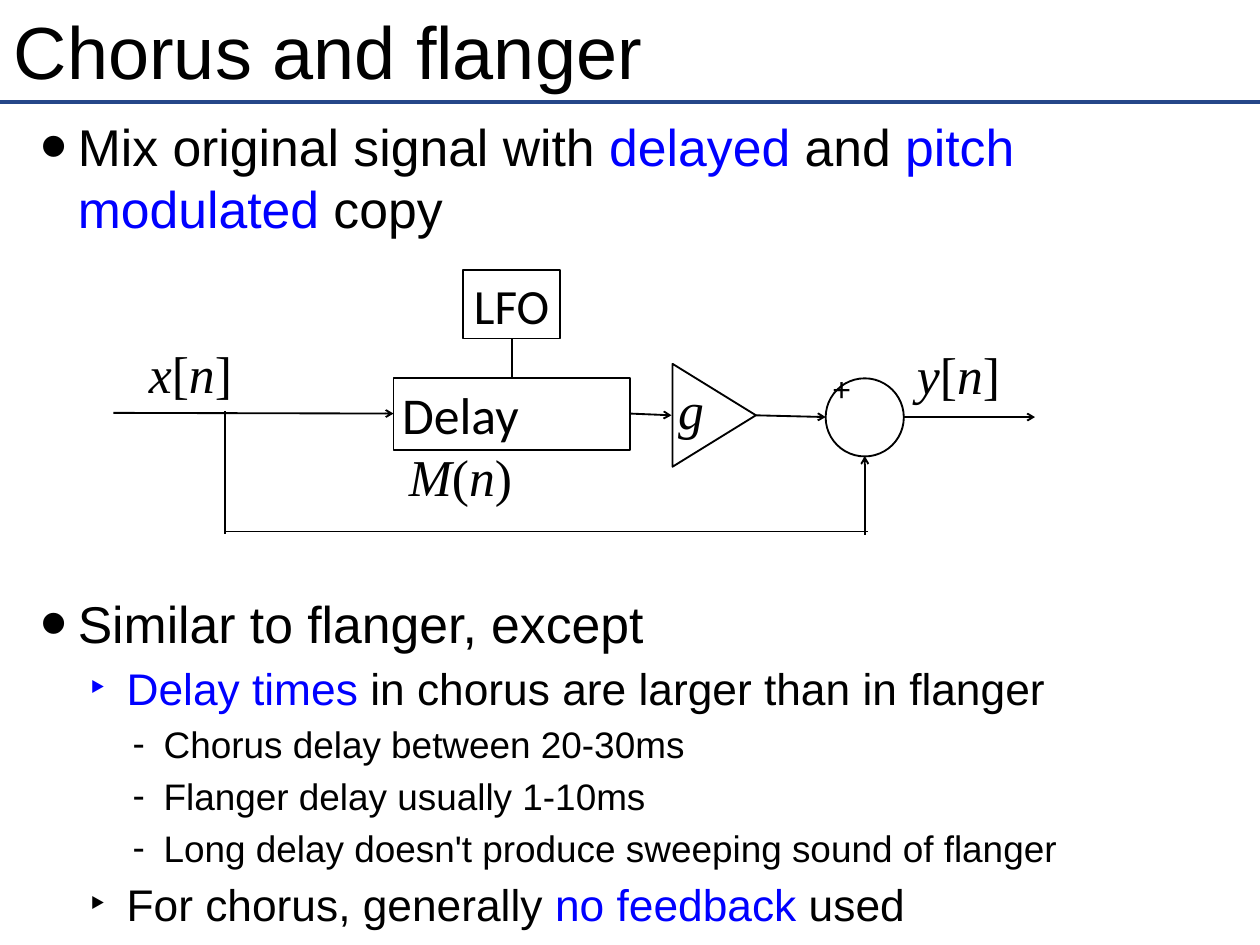
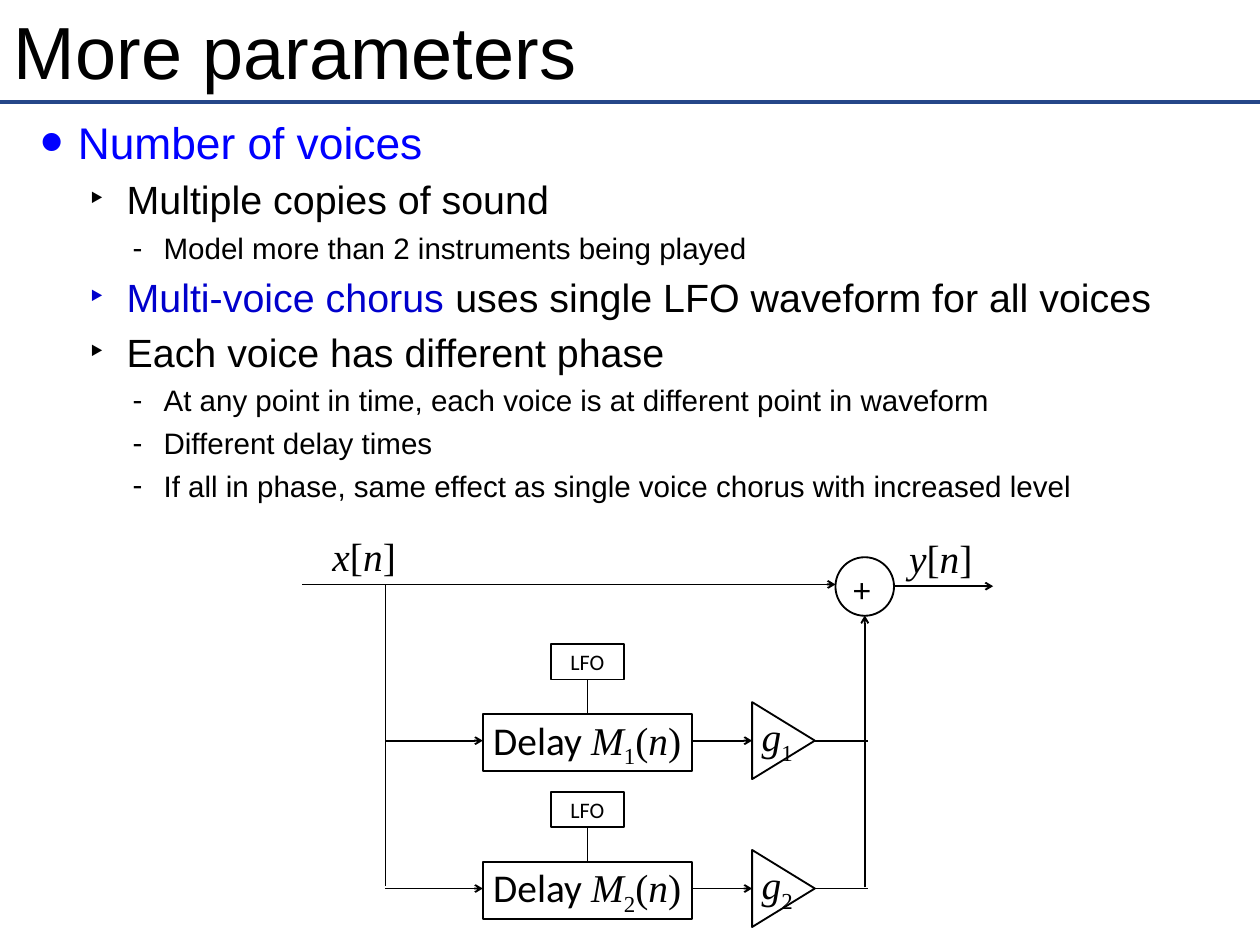
from itertools import groupby

from pptx import Presentation
from pptx.dml.color import RGBColor
from pptx.enum.shapes import MSO_CONNECTOR, MSO_SHAPE
from pptx.enum.text import MSO_ANCHOR, MSO_AUTO_SIZE, PP_ALIGN
from pptx.oxml.ns import qn
from pptx.util import Cm, Pt
from lxml import etree

STRAIGHT = MSO_CONNECTOR.STRAIGHT
RECT, OVAL = MSO_SHAPE.RECTANGLE, MSO_SHAPE.OVAL
TRIANGLE = MSO_SHAPE.ISOSCELES_TRIANGLE
LEFT, CENTER = PP_ALIGN.LEFT, PP_ALIGN.CENTER
TOP, MIDDLE = MSO_ANCHOR.TOP, MSO_ANCHOR.MIDDLE
NO_FIT = MSO_AUTO_SIZE.NONE

COLORS = {"ink": "000000", "rule": "254789", "blue": "0000FF", "navy": "0000CC"}
SANS, WORD, MATH = "Arial", "Calibri", "Times New Roman"
WIDTH, HEIGHT = 36.12, 27.1
# Bullet, its size in percent, left margin and hanging indent in cm
LEVELS = [("•", 150, 1.78, 1.07), ("‣", 100, 3.18, 1.07), ("-", 100, 4.24, 0.89)]

CHORUS = [
    (0, "Mix original signal with *delayed* and *pitch modulated* copy", "blue", 0),
    (0, "Similar to flanger, except", "ink", 287),
    (1, "*Delay times* in chorus are larger than in flanger", "blue", 6),
    (2, "Chorus delay between 20-30ms", "ink", 6),
    (2, "Flanger delay usually 1-10ms", "ink", 6),
    (2, "Long delay doesn't produce sweeping sound of flanger", "ink", 6),
    (1, "For chorus, generally *no feedback* used", "blue", 6),
]
VOICES = [
    (0, "*Number of voices*", "blue", 0),
    (1, "Multiple copies of sound", "ink", 6),
    (2, "Model more than 2 instruments being played", "ink", 6),
    (1, "*Multi-voice chorus *uses single LFO waveform for all voices", "navy", 6),
    (1, "Each voice has different phase", "ink", 6),
    (2, "At any point in time, each voice is at different point in waveform", "ink", 6),
    (2, "Different delay times", "ink", 6),
    (2, "If all in phase, same effect as single voice chorus with increased level",
     "ink", 6),
]


def color(name):
    return RGBColor.from_string(COLORS[name])


def box(x, y, w, h):
    return Cm(x), Cm(y), Cm(w), Cm(h)


def add_run(para, text, font, size, tint="ink"):
    run = para.add_run()
    run.text = text
    run.font.name = font
    run.font.size = Pt(size)
    run.font.color.rgb = color(tint)
    return run


def sort_char(char):
    return "var" if char.isalpha() else "sub" if char.isdigit() else "sign"


def add_math(para, text, size):
    """Set letters in italics and digits as subscripts."""
    for kind, chars in groupby(text, sort_char):
        run = add_run(para, "".join(chars), MATH, size)
        run.font.italic = kind == "var"
        if kind == "sub":
            run.font._element.set("baseline", "-25000")


def fill_text(shape, word, math, size):
    """Write an upright word and then a formula, centred."""
    frame = shape.text_frame
    frame.word_wrap = False
    frame.vertical_anchor = MIDDLE
    para = frame.paragraphs[0]
    para.alignment = CENTER
    if word:
        add_run(para, word, WORD, size)
    add_math(para, math, size)


def add_label(draw, x, y, word, math, size):
    """Place a text box centred on a point."""
    wide, high = 0.1 * size, 0.05 * size
    shape = draw.add_textbox(*box(x - wide / 2, y - high / 2, wide, high))
    fill_text(shape, word, math, size)


def add_block(draw, kind, x, y, w, h):
    shape = draw.add_shape(kind, *box(x, y, w, h))
    shape.shadow.inherit = False
    shape.fill.background()
    shape.line.color.rgb = color("ink")
    shape.line.width = Pt(1.5)
    return shape


def add_amp(draw, x, mid, deep, span):
    """Draw a triangle that points right, from its left edge and middle."""
    shape = add_block(draw, TRIANGLE, x + (deep - span) / 2, mid - deep / 2,
                      span, deep)
    shape.rotation = 90


def add_line(draw, x1, y1, x2, y2, arrow=False, tint="ink", width=1.5):
    line = draw.add_connector(STRAIGHT, Cm(x1), Cm(y1), Cm(x2), Cm(y2))
    line.line.color.rgb = color(tint)
    line.line.width = Pt(width)
    props = line.element.spPr
    if arrow:
        etree.SubElement(props.get_or_add_ln(), qn("a:tailEnd"), type="arrow")
    etree.SubElement(props, qn("a:effectLst"))
    return line


def set_frame(shape, anchor):
    frame = shape.text_frame
    frame.margin_left = frame.margin_right = Cm(0.15)
    frame.margin_top = frame.margin_bottom = Cm(0.15)
    frame.vertical_anchor = anchor
    frame.auto_size = NO_FIT


def place(shape, x, y, w, h):
    shape.left, shape.top, shape.width, shape.height = box(x, y, w, h)


def set_layout(layout):
    title, body = layout.placeholders[0], layout.placeholders[1]
    place(title, 0.25, 0.15, 35.59, 2.57)
    place(body, 0.3, 3.15, 35.59, 23.75)
    set_frame(title, MIDDLE)
    set_frame(body, TOP)


def add_bullet(para, level):
    mark, scale, left, hang = LEVELS[level]
    para.level = level
    props = para._p.get_or_add_pPr()
    props.set("marL", str(Cm(left)))
    props.set("indent", str(-Cm(hang)))
    etree.SubElement(props, qn("a:buSzPct"), val=str(scale * 1000))
    etree.SubElement(props, qn("a:buFont"), typeface=SANS)
    etree.SubElement(props, qn("a:buChar"), char=mark)


def fill_list(frame, rows, sizes):
    """Write the rows; text between asterisks takes the row's accent."""
    for i, (level, text, tint, gap) in enumerate(rows):
        para = frame.add_paragraph() if i else frame.paragraphs[0]
        para.alignment = LEFT
        para.line_spacing = 1.0
        para.space_before = Pt(gap)
        para.space_after = Pt(0)
        add_bullet(para, level)
        for j, part in enumerate(text.split("*")):
            if part:
                add_run(para, part, SANS, sizes[level], tint if j % 2 else "ink")


def add_slide(deck, layout, head, rows, sizes):
    """Add a titled list; return the slide and the shapes of an empty group."""
    slide = deck.slides.add_slide(layout)
    para = slide.shapes.title.text_frame.paragraphs[0]
    para.alignment = LEFT
    add_run(para, head, SANS, 60)
    fill_list(slide.placeholders[1].text_frame, rows, sizes)
    return slide, slide.shapes.add_group_shape().shapes


def draw_chorus(draw):
    add_block(draw, OVAL, 23.67, 10.85, 2.24, 2.24)
    add_label(draw, 24.13, 11.12, "+", "", 28)
    delay = add_block(draw, RECT, 11.28, 10.85, 6.78, 2.06)
    fill_text(delay, "Delay ", "M(n)", 42)
    frame = delay.text_frame
    frame.word_wrap = True
    frame.vertical_anchor = TOP
    frame.margin_left, frame.margin_right = 0, Cm(2.94)
    lfo = add_block(draw, RECT, 13.28, 7.75, 2.77, 1.96)
    fill_text(lfo, "LFO", "", 40)
    add_amp(draw, 19.28, 11.91, 2.39, 2.95)
    add_label(draw, 5.46, 10.68, "", "x[n]", 42)
    add_label(draw, 27.48, 10.73, "", "y[n]", 42)
    add_label(draw, 19.81, 11.72, "", "g", 42)
    for ends in [(3.25, 11.84, 11.28, 11.86), (18.06, 11.86, 19.25, 11.91),
                 (21.67, 11.91, 23.67, 11.96), (25.91, 11.96, 29.67, 11.96),
                 (24.79, 15.34, 24.79, 13.08)]:
        add_line(draw, *ends, arrow=True)
    for ends in [(6.45, 11.79, 6.45, 15.32), (6.45, 15.24, 24.87, 15.24),
                 (14.68, 9.73, 14.68, 10.85)]:
        add_line(draw, *ends)


def draw_voice(draw, num, mid):
    """Draw one delay branch around its middle line."""
    delay = add_block(draw, RECT, 13.84, mid - 0.76, 5.99, 1.63)
    fill_text(delay, "Delay ", f"M{num}(n)", 32)
    lfo = add_block(draw, RECT, 15.8, mid - 2.77, 2.08, 1.02)
    fill_text(lfo, "LFO", "", 18)
    add_amp(draw, 21.56, mid, 1.8, 2.21)
    add_label(draw, 22.28, mid - 0.05, "", f"g{num}", 32)
    add_line(draw, 11.05, mid, 13.84, mid, arrow=True)
    add_line(draw, 19.84, mid, 21.56, mid, arrow=True)
    add_line(draw, 23.37, mid, 24.87, mid)
    add_line(draw, 16.84, mid - 1.75, 16.84, mid - 0.76)


def draw_voices(draw):
    add_block(draw, OVAL, 23.95, 15.98, 1.68, 1.68)
    add_label(draw, 24.71, 16.88, "+", "", 28)
    add_label(draw, 10.44, 15.95, "", "x[n]", 32)
    add_label(draw, 26.97, 16, "", "y[n]", 32)
    add_line(draw, 11.05, 16.76, 11.05, 25.4)
    for ends in [(8.66, 16.76, 23.95, 16.76), (25.65, 16.81, 28.47, 16.81),
                 (24.79, 25.45, 24.79, 17.65)]:
        add_line(draw, *ends, arrow=True)
    for num in (1, 2):
        draw_voice(draw, num, 17 + 4.24 * num)


def main():
    deck = Presentation()
    deck.slide_width, deck.slide_height = Cm(WIDTH), Cm(HEIGHT)
    layout = deck.slide_layouts[1]
    set_layout(layout)

    slide, draw = add_slide(deck, layout, "Chorus and flanger", CHORUS, (42, 36, 30))
    draw_chorus(draw)
    # The rule under the title belongs to the layout
    rule = add_line(slide.shapes, 0, 2.92, WIDTH, 2.92, tint="rule", width=3)
    layout.shapes.element.append(rule.element)

    slide, draw = add_slide(deck, layout, "More parameters", VOICES, (36, 32, 24))
    place(slide.placeholders[1], 0.3, 3.15, 35.59, 12.67)
    draw_voices(draw)
    deck.save("out.pptx")


if __name__ == "__main__":
    main()
